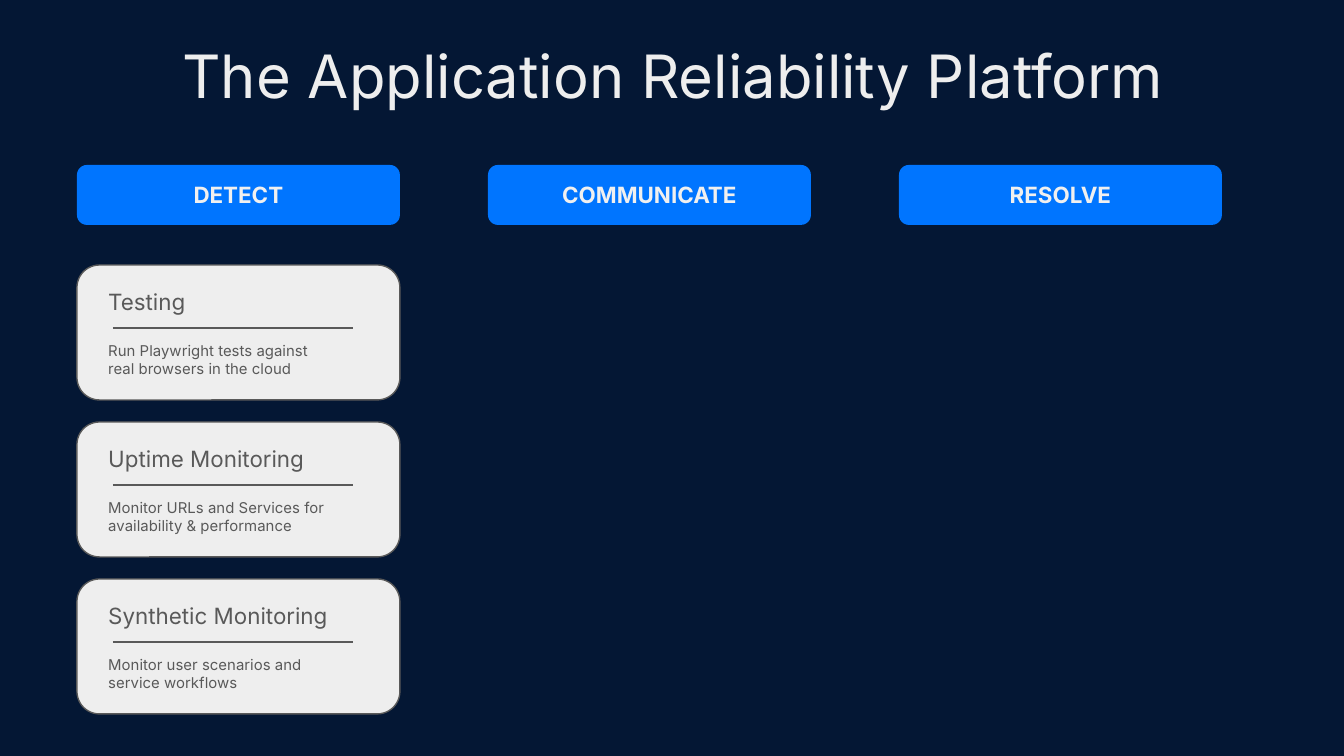
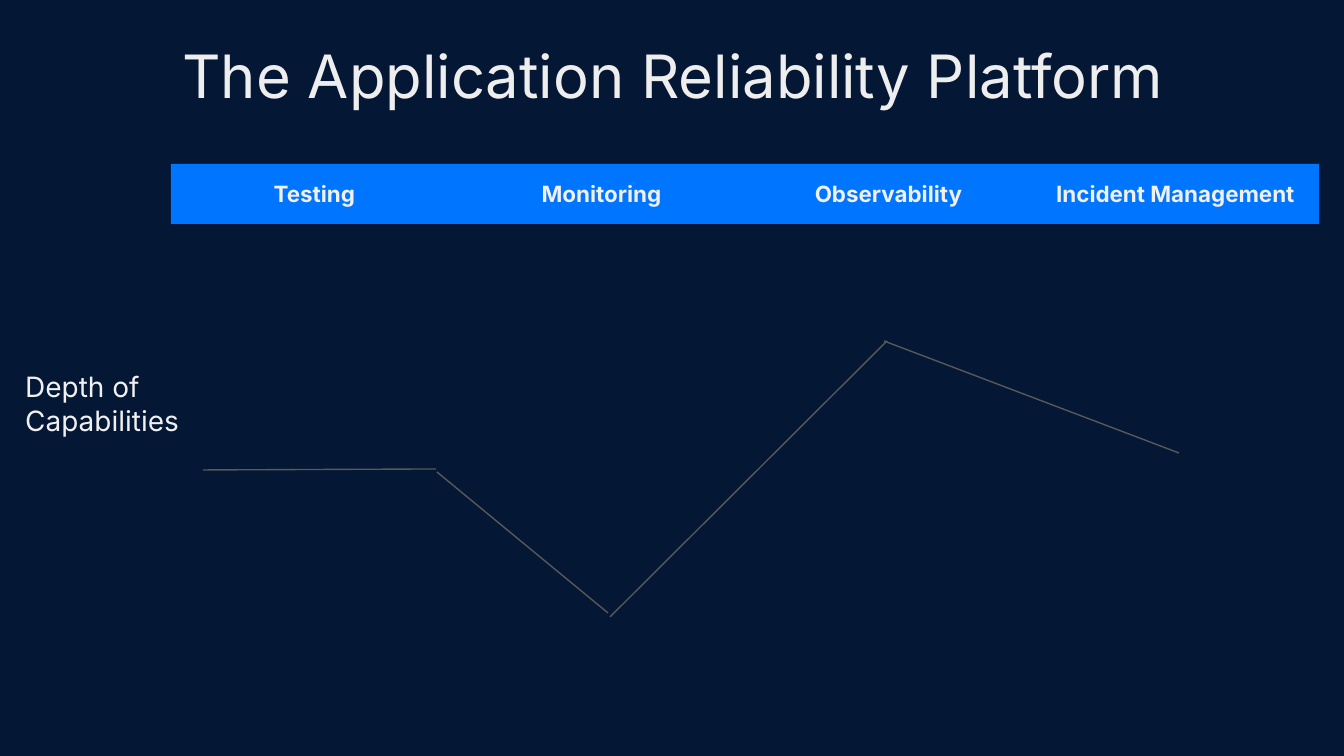
"""Builds two slides on the application reliability platform."""
import dataclasses
import typing

import lxml.etree
import pptx
import pptx.dml.color
import pptx.enum.shapes
import pptx.enum.text
import pptx.oxml.ns
import pptx.shapes.autoshape
import pptx.slide
import pptx.text.text
import pptx.util

PX_PER_INCH = 134.4
ALIGN = pptx.enum.text.PP_ALIGN
ANCHOR = pptx.enum.text.MSO_ANCHOR
PLATFORM_TITLE = "The Application Reliability Platform"


@dataclasses.dataclass(frozen=True)
class Theme:
    """Colours, font and type sizes of the deck."""
    font: str = "Inter"
    night: str = "041734"
    blue: str = "0075FF"
    paper: str = "EEEEEE"
    light: str = "F0F0F0"
    gray: str = "595959"
    title_pt: int = 32
    axis_pt: int = 15
    heading_pt: int = 12
    body_pt: int = 8
    line_pt: float = 0.75


THEME = Theme()


class Box(typing.NamedTuple):
    """A rectangle in px."""
    left: int
    top: int
    width: int
    height: int


class Segment(typing.NamedTuple):
    """A straight line between two points in px."""
    x1: int
    y1: int
    x2: int
    y2: int


@dataclasses.dataclass(frozen=True)
class Band:
    """A row of equal blue labels."""
    first: Box
    pitch: int
    rounding: float
    labels: tuple[str, ...]


@dataclasses.dataclass(frozen=True)
class Card:
    """A capability with its short description."""
    heading: str
    body: str
    heading_width: int = 257


STAGES = Band(Box(77, 165, 323, 60), 411, 0.167, ("DETECT", "COMMUNICATE", "RESOLVE"))
CAPABILITIES = Band(
    Box(171, 164, 287, 60), 287, 0,
    ("Testing", "Monitoring", "Observability", "Incident Management"),
)
CARD_FIRST = Box(77, 265, 323, 135)
CARD_PITCH = 157
CARDS = (
    Card("Testing", "Run Playwright tests against real browsers in the cloud", 125),
    Card("Uptime Monitoring", "Monitor URLs and Services for availability & performance"),
    Card("Synthetic Monitoring", "Monitor user scenarios and service workflows"),
)
DEPTH_CURVE = (
    Segment(203, 470, 436, 469),
    Segment(437, 472, 608, 613),
    Segment(887, 341, 610, 617),
    Segment(884, 341, 1179, 453),
)


def px(length: int) -> int:
    """Turn px into EMU."""
    return pptx.util.Inches(length / PX_PER_INCH)


def emu(lengths: typing.Iterable[int]) -> list[int]:
    """Turn several px lengths into EMU."""
    return [px(length) for length in lengths]


def rgb(color: str) -> pptx.dml.color.RGBColor:
    """Read a hex colour."""
    return pptx.dml.color.RGBColor.from_string(color)


def write(frame: pptx.text.text.TextFrame, text: str, size: int, color: str,
          align: ALIGN = ALIGN.LEFT, anchor: ANCHOR = ANCHOR.TOP,
          bold: bool = False, inset: float = 0.1) -> None:
    """Fill a text frame with one styled paragraph."""
    frame.word_wrap = True
    frame.vertical_anchor = anchor
    frame.margin_left = frame.margin_right = pptx.util.Inches(0.1)
    frame.margin_top = frame.margin_bottom = pptx.util.Inches(inset)
    frame.text = text
    paragraph = frame.paragraphs[0]
    paragraph.alignment = align
    paragraph.font.name = THEME.font
    paragraph.font.size = pptx.util.Pt(size)
    paragraph.font.bold = bold
    paragraph.font.color.rgb = rgb(color)


def add_text(slide: pptx.slide.Slide, box: Box, text: str, size: int, color: str) -> None:
    """Add a left-aligned text box."""
    write(slide.shapes.add_textbox(*emu(box)).text_frame, text, size, color)


def add_panel(slide: pptx.slide.Slide, box: Box, fill: str,
              rounding: float) -> pptx.shapes.autoshape.Shape:
    """Add a filled rounded rectangle without outline."""
    panel = slide.shapes.add_shape(
        pptx.enum.shapes.MSO_SHAPE.ROUNDED_RECTANGLE, *emu(box))
    panel.adjustments[0] = rounding
    panel.shadow.inherit = False
    panel.fill.solid()
    panel.fill.fore_color.rgb = rgb(fill)
    panel.line.fill.background()
    return panel


def add_segment(slide: pptx.slide.Slide, segment: Segment) -> None:
    """Add a thin gray line."""
    connector = slide.shapes.add_connector(
        pptx.enum.shapes.MSO_CONNECTOR.STRAIGHT, *emu(segment))
    connector.line.color.rgb = rgb(THEME.gray)
    connector.line.width = pptx.util.Pt(THEME.line_pt)
    lxml.etree.SubElement(connector._element.spPr, pptx.oxml.ns.qn("a:effectLst"))


def add_band(slide: pptx.slide.Slide, band: Band) -> None:
    """Add a row of blue labels."""
    for column, label in enumerate(band.labels):
        box = band.first._replace(left=band.first.left + column * band.pitch)
        panel = add_panel(slide, box, THEME.blue, band.rounding)
        write(panel.text_frame, label, THEME.heading_pt, THEME.light,
              ALIGN.CENTER, ANCHOR.MIDDLE, bold=True)


def add_card(slide: pptx.slide.Slide, box: Box, card: Card) -> None:
    """Add a card with heading, rule and description."""
    panel = add_panel(slide, box, THEME.paper, 0.167)
    panel.line.color.rgb = rgb(THEME.gray)
    panel.line.width = pptx.util.Pt(THEME.line_pt)
    text_left, rule_y = box.left + 18, box.top + 63
    add_text(slide, Box(text_left, box.top + 10, card.heading_width, 54),
             card.heading, THEME.heading_pt, THEME.gray)
    add_segment(slide, Segment(box.left + 36, rule_y, box.left + 276, rule_y))
    add_text(slide, Box(text_left, rule_y, 257, 66), card.body, THEME.body_pt, THEME.gray)


def add_titled_slide(deck: pptx.presentation.Presentation, band: Band) -> pptx.slide.Slide:
    """Add a slide with the shared title and its band."""
    slide = deck.slides.add_slide(deck.slide_layouts.get_by_name("Title Only"))
    title = slide.shapes.title
    title.left, title.top, title.width, title.height = emu(Box(48, 40, 1251, 73))
    write(title.text_frame, PLATFORM_TITLE, THEME.title_pt, THEME.paper,
          ALIGN.CENTER, inset=0.05)
    title.text_frame.auto_size = pptx.enum.text.MSO_AUTO_SIZE.NONE
    title.text_frame.paragraphs[0].line_spacing = 0.9
    add_band(slide, band)
    return slide


def build_stages(deck: pptx.presentation.Presentation) -> None:
    """Build the slide of stages and detection cards."""
    slide = add_titled_slide(deck, STAGES)
    for row, card in enumerate(CARDS):
        box = CARD_FIRST._replace(top=CARD_FIRST.top + row * CARD_PITCH)
        add_card(slide, box, card)


def build_depth(deck: pptx.presentation.Presentation) -> None:
    """Build the slide of capability depth."""
    slide = add_titled_slide(deck, CAPABILITIES)
    add_text(slide, Box(12, 356, 210, 95), "Depth of Capabilities",
             THEME.axis_pt, THEME.light)
    for segment in DEPTH_CURVE:
        add_segment(slide, segment)


def main() -> None:
    """Build and save the deck."""
    deck = pptx.Presentation()
    deck.slide_width, deck.slide_height = emu((1344, 756))
    backdrop = deck.slide_master.background.fill
    backdrop.solid()
    backdrop.fore_color.rgb = rgb(THEME.night)
    build_stages(deck)
    build_depth(deck)
    deck.save("out.pptx")


if __name__ == "__main__":
    main()
